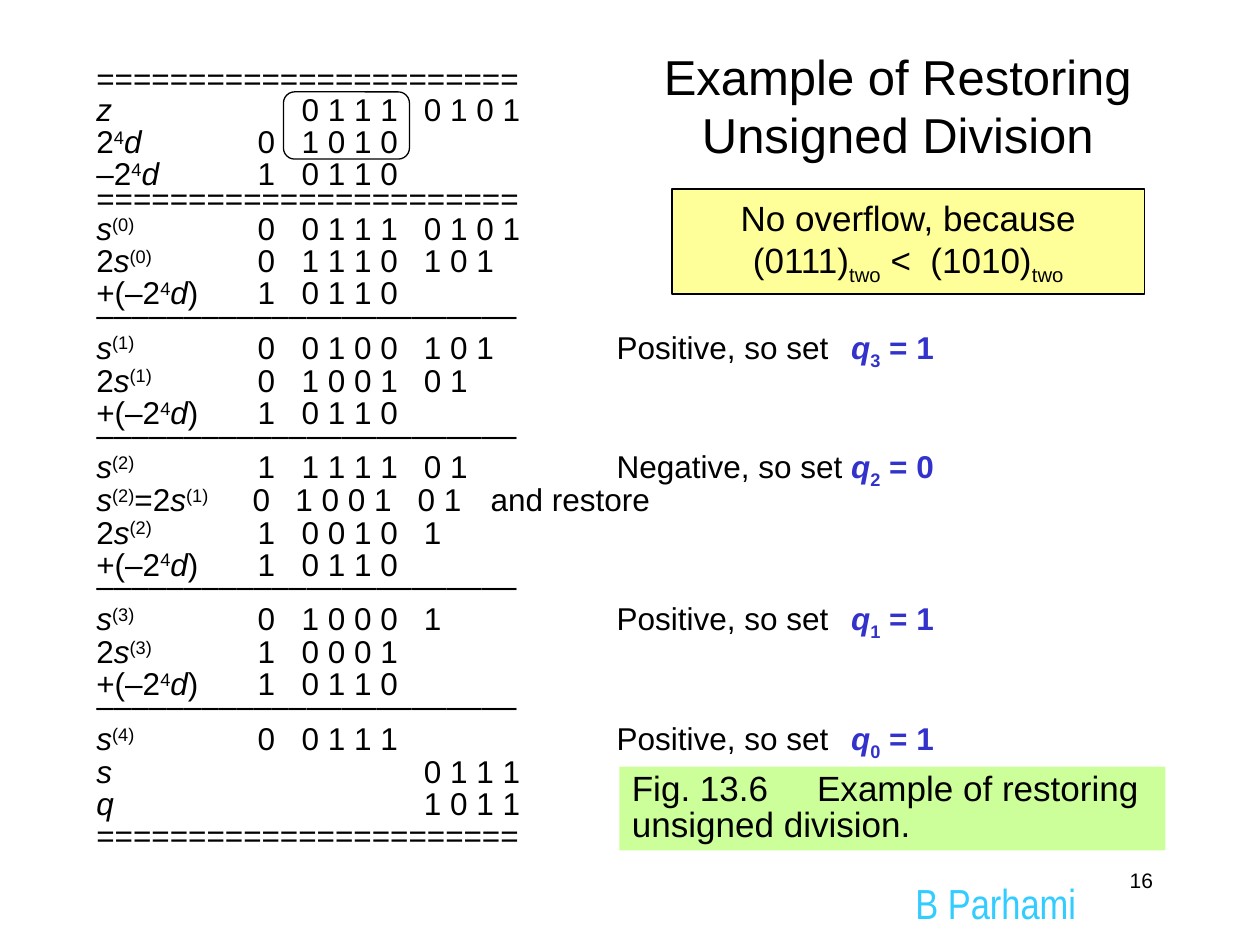
from lxml import etree
from pptx import Presentation
from pptx.dml.color import RGBColor
from pptx.enum.shapes import MSO_SHAPE
from pptx.enum.text import MSO_ANCHOR, MSO_AUTO_SIZE, PP_ALIGN
from pptx.oxml.ns import qn
from pptx.util import Inches, Pt

RECTANGLE, ROUNDED = MSO_SHAPE.RECTANGLE, MSO_SHAPE.ROUNDED_RECTANGLE
TOP, MIDDLE = MSO_ANCHOR.TOP, MSO_ANCHOR.MIDDLE
LEFT, CENTER, RIGHT = PP_ALIGN.LEFT, PP_ALIGN.CENTER, PP_ALIGN.RIGHT
NO_AUTOFIT = MSO_AUTO_SIZE.NONE

BLACK = RGBColor(0x00, 0x00, 0x00)
BLUE = RGBColor(0x33, 0x33, 0xCC)
CYAN = RGBColor(0x33, 0xCC, 0xFF)
GREEN = RGBColor(0xCC, 0xFF, 0x99)
YELLOW = RGBColor(0xFF, 0xFF, 0x99)

COLUMNS, ROWS = 120, 90
WIDTH, HEIGHT = Inches(10), Inches(7.5)
TITLE_ONLY = 5

SUPER, SUB = "30000", "-25000"
QUOTIENT = {"bold": True, "color": BLUE}
MARKS = {
    "*": ({"italic": True}, None),
    "^": ({}, SUPER),
    "_": ({}, SUB),
    "#": ({**QUOTIENT, "italic": True}, None),
    "~": (QUOTIENT, SUB),
    "!": (QUOTIENT, None),
}

STOPS = (1.28, 1.63, 2.6, 4.13, 5.99)
RESTORE_STOPS = (1.24, 1.58, 2.55, 3.13)
DOUBLE_RULE = "=" * 23
SINGLE_RULE = "–" * 24
DIVISOR = "2|^4|*d"
SUBTRACT = ("+(–" + DIVISOR + "|)", "1", "0 1 1 0")


def remainder(step, factor=""):
    """Return the marked-up name of a partial remainder."""
    return f"{factor}|*s|^({step})"


def verdict(sign, digit, value):
    """Return the comment and quotient cells that close a step."""
    return f"{sign}, so set", f"#q|~{digit}|! = {value}"


HEADER = (
    ("*z", "", "0 1 1 1", "0 1 0 1"),
    (DIVISOR, "0", "1 0 1 0"),
    ("–" + DIVISOR, "1", "0 1 1 0"),
)
STEPS = (
    (
        (remainder(0), "0", "0 1 1 1", "0 1 0 1"),
        (remainder(0, "2"), "0", "1 1 1 0", "1 0 1"),
        SUBTRACT,
    ),
    (
        (remainder(1), "0", "0 1 0 0", "1 0 1", *verdict("Positive", 3, 1)),
        (remainder(1, "2"), "0", "1 0 0 1", "0 1"),
        SUBTRACT,
    ),
    (
        (remainder(2), "1", "1 1 1 1", "0 1", *verdict("Negative", 2, 0)),
        (remainder(2) + "|=2" + remainder(1), "0", "1 0 0 1", "0 1", "and restore"),
        (remainder(2, "2"), "1", "0 0 1 0", "1"),
        SUBTRACT,
    ),
    (
        (remainder(3), "0", "1 0 0 0", "1", *verdict("Positive", 1, 1)),
        (remainder(3, "2"), "1", "0 0 0 1"),
        SUBTRACT,
    ),
)
RESULT = (
    (remainder(4), "0", "0 1 1 1", "", *verdict("Positive", 0, 1)),
    ("*s", "", "", "0 1 1 1"),
    ("*q", "", "", "1 0 1 1"),
)


def grid(left, top, width, height):
    """Turn grid columns and rows into slide lengths."""
    across, down = WIDTH / COLUMNS, HEIGHT / ROWS
    return [int(size) for size in (left * across, top * down, width * across, height * down)]


def set_tabs(para, stops):
    """Give a paragraph left tab stops at the given inches."""
    tab_list = etree.SubElement(para._p.get_or_add_pPr(), qn("a:tabLst"))
    for stop in stops:
        etree.SubElement(tab_list, qn("a:tab"), pos=str(Inches(stop)), algn="l")


def add_spans(para, markup, size, color=BLACK, name="Arial"):
    """Write marked-up text as formatted runs."""
    for piece in filter(None, markup.split("|")):
        marked = piece[0] in MARKS
        changes, baseline = MARKS[piece[0]] if marked else ({}, None)
        span = para.add_run()
        span.text = piece[1:] if marked else piece
        look = {"name": name, "size": Pt(size), "bold": False, "italic": False, "color": color}
        look.update(changes)
        span.font.color.rgb = look.pop("color")
        for key, value in look.items():
            setattr(span.font, key, value)
        if baseline:
            span._r.get_or_add_rPr().set("baseline", baseline)


def write(box, lines, size, align=LEFT, anchor=TOP, wrap=True, spacing=1.0, stops=(), **look):
    """Fill a shape with paragraphs that share one format."""
    frame = box.text_frame
    frame.auto_size, frame.word_wrap, frame.vertical_anchor = NO_AUTOFIT, wrap, anchor
    for index, line in enumerate(lines):
        para = frame.add_paragraph() if index else frame.paragraphs[0]
        if stops:
            set_tabs(para, stops)
        para.alignment, para.line_spacing = align, spacing
        add_spans(para, line, size, **look)


def add_panel(page, kind, place, fill=None, line=None):
    """Add a flat shape with an optional fill and outline."""
    panel = page.shapes.add_shape(kind, *grid(*place))
    panel.shadow.inherit = False
    for part, color in ((panel.fill, fill), (panel.line.fill, line)):
        if color is None:
            part.background()
        else:
            part.solid()
            part.fore_color.rgb = color
    if line is not None:
        panel.line.width = Pt(0.75)
    return panel


def worksheet_lines():
    """Yield the cells and line spacing of each worksheet line."""
    yield (DOUBLE_RULE,), 0.7
    for row in HEADER:
        yield row, 0.85
    yield (DOUBLE_RULE,), 0.6
    for step in STEPS:
        for row in step:
            yield row, 0.85
        yield (SINGLE_RULE,), 0.5
    for row in (*RESULT, (DOUBLE_RULE,)):
        yield row, 0.85


def add_worksheet(page):
    """Add the division worked line by line on tab stops."""
    frame = page.shapes.add_textbox(*grid(8, 6, 83, 76)).text_frame
    frame.word_wrap = True
    for index, (cells, spacing) in enumerate(worksheet_lines()):
        para = frame.add_paragraph() if index else frame.paragraphs[0]
        set_tabs(para, RESTORE_STOPS if "and restore" in cells else STOPS)
        para.line_spacing = spacing
        add_spans(para, "|\t|".join(cells), 18)


def main():
    """Build the slide and save the deck."""
    deck = Presentation()
    deck.slide_width, deck.slide_height = WIDTH, HEIGHT
    page = deck.slides.add_slide(deck.slide_layouts[TITLE_ONLY])

    title = page.shapes.title
    title.left, title.top, title.width, title.height = grid(57, 3, 57, 14)
    write(title, ["Example of Restoring Unsigned Division"], 28, CENTER, MIDDLE)

    author = page.shapes.add_textbox(*grid(86, 83, 13, 5))
    write(author, ["B Parhami"], 24, wrap=False, color=CYAN, name="Arial Narrow")

    caption = add_panel(page, RECTANGLE, (59, 73, 52, 8), GREEN)
    write(caption, ["Fig. 13.6\tExample of restoring unsigned division."], 20,
          spacing=0.85, stops=(1.47,))

    add_worksheet(page)

    note = add_panel(page, RECTANGLE, (64, 18, 45, 10), YELLOW, BLACK)
    write(note, ["No overflow, because", "(0111)|_two| <  (1010)|_two"], 20,
          CENTER, MIDDLE, wrap=False)
    add_panel(page, ROUNDED, (27, 8.75, 12, 6.4), line=BLACK)

    number = page.shapes.add_textbox(*grid(86, 82, 25, 6))
    write(number, ["16"], 12, RIGHT)

    deck.save("out.pptx")


if __name__ == "__main__":
    main()
